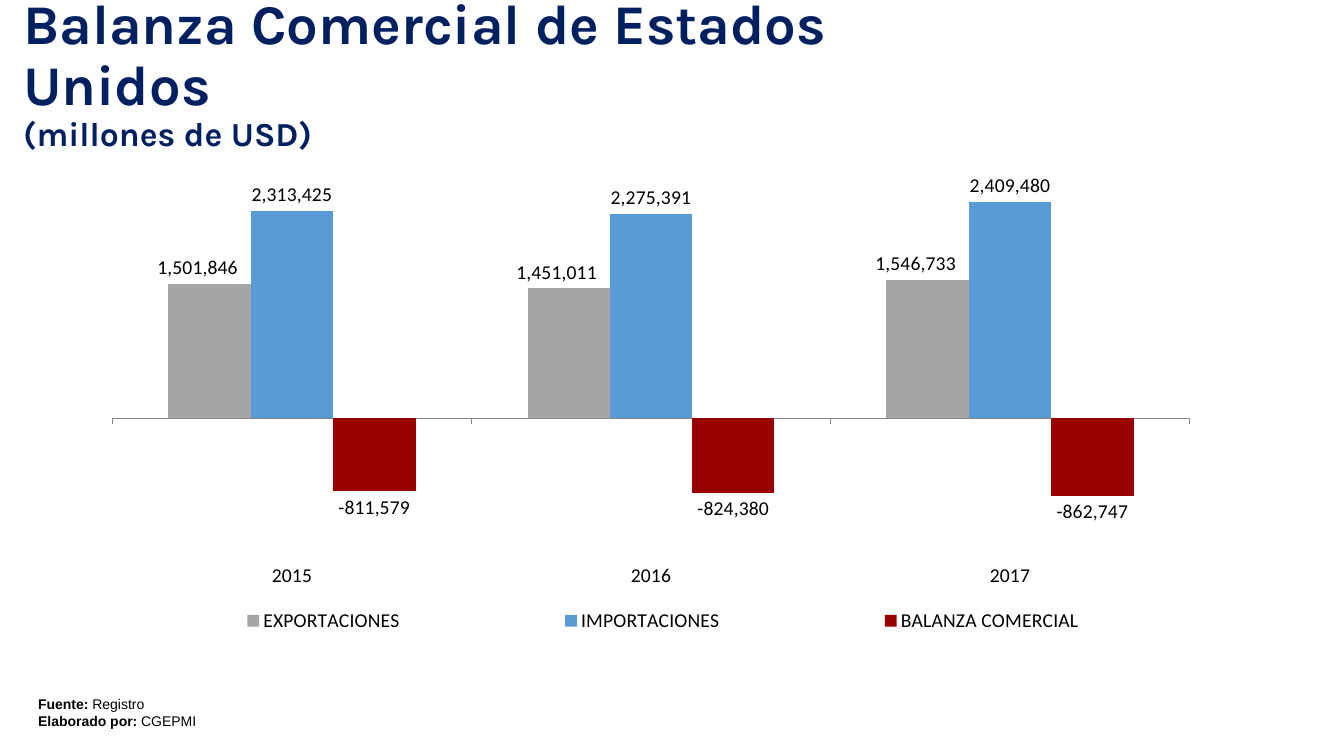
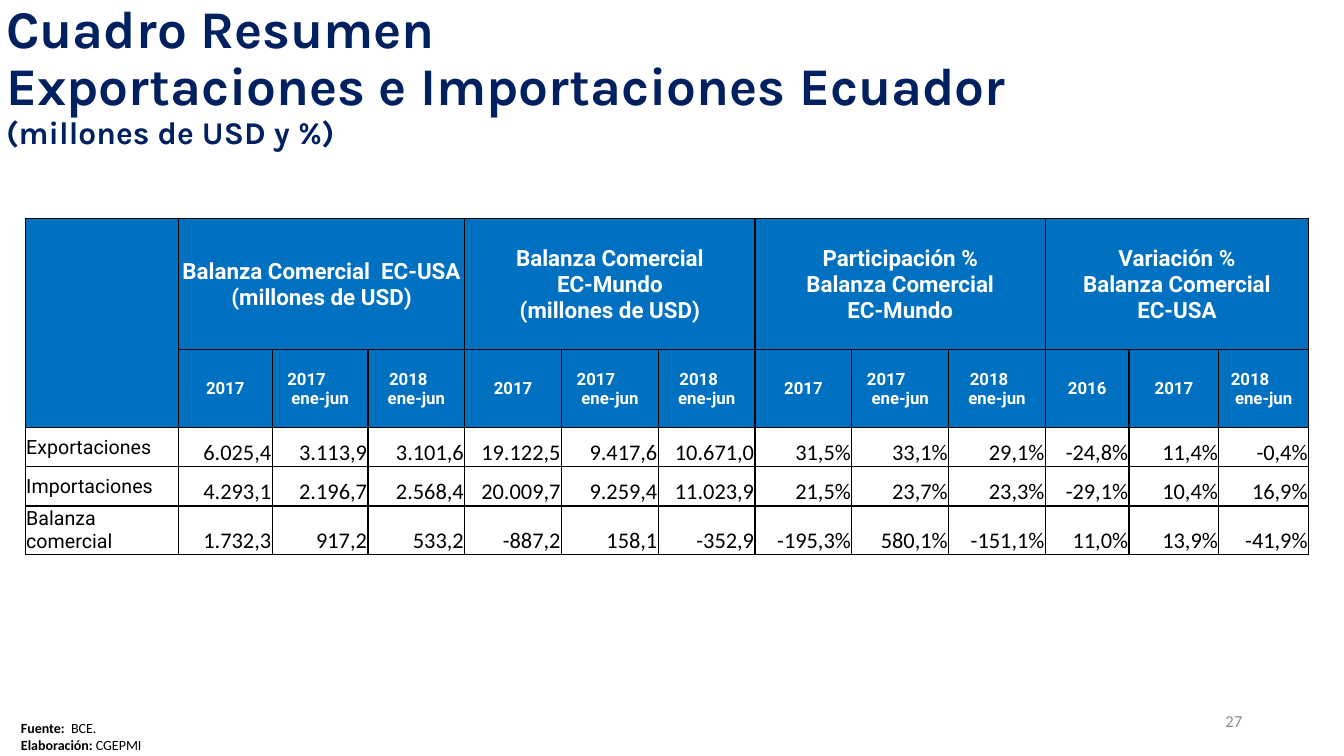
import pptx
import pptx.util
import pptx.chart.data
import pptx.dml.color
import pptx.enum.chart
import pptx.enum.text
import pptx.oxml
import pptx.oxml.ns

Inches = pptx.util.Inches
Pt = pptx.util.Pt
ALIGN = pptx.enum.text.PP_ALIGN
ANCHOR = pptx.enum.text.MSO_ANCHOR

COLORS = {
    "title": "002060", "text": "000000", "light": "FFFFFF", "number": "8C8C8C",
    "header": "0070C0", "axis": "868686",
    "exports": "A5A5A5", "imports": "5B9BD5", "balance": "990000",
}
TITLE_FONT, TABLE_FONT, BODY_FONT = "Karla", "Roboto", "Calibri"


def rgb(name):
    return pptx.dml.color.RGBColor.from_string(COLORS[name])


def write_text(frame, paragraphs, *, size, font=BODY_FONT, color="text", bold=False,
               align=ALIGN.LEFT, anchor=ANCHOR.TOP, line_spacing=None):
    """Each paragraph is a string or a list of (text, overrides) runs."""
    frame.word_wrap = True
    frame.vertical_anchor = anchor
    for index, runs in enumerate(paragraphs):
        paragraph = frame.paragraphs[0] if index == 0 else frame.add_paragraph()
        paragraph.alignment = align
        if line_spacing:
            paragraph.line_spacing = line_spacing
        if isinstance(runs, str):
            runs = [(runs, {})]
        for text, overrides in runs:
            run = paragraph.add_run()
            run.text = text
            run.font.name = font
            run.font.size = Pt(overrides.get("size", size))
            run.font.bold = overrides.get("bold", bold)
            run.font.color.rgb = rgb(color)


# Parts shared by the slides

def add_titled_slide(deck, box, headings, unit, size):
    slide = deck.slides.add_slide(deck.slide_layouts[5])
    title = slide.shapes.title
    title.left, title.top, title.width, title.height = map(Inches, box)
    title.text_frame.auto_size = pptx.enum.text.MSO_AUTO_SIZE.NONE
    write_text(title.text_frame, [*headings, [(unit, {"size": size * 0.6})]],
               size=size, font=TITLE_FONT, color="title", bold=True,
               anchor=ANCHOR.MIDDLE, line_spacing=0.9)
    return slide


def add_credits(slide, box, credits, font):
    credit_box = slide.shapes.add_textbox(*map(Inches, box))
    lines = [[(label, {"bold": True}), (value, {})] for label, value in credits]
    write_text(credit_box.text_frame, lines, size=10, font=font)


def add_page_number(slide, box, number):
    number_box = slide.shapes.add_textbox(*map(Inches, box))
    write_text(number_box.text_frame, [number], size=12, color="number",
               align=ALIGN.RIGHT, anchor=ANCHOR.MIDDLE)


# Trade balance chart

TRADE_SERIES = [
    ("EXPORTACIONES", (1501846, 1451011, 1546733), "exports"),
    ("IMPORTACIONES", (2313425, 2275391, 2409480), "imports"),
    ("BALANZA COMERCIAL", (-811579, -824380, -862747), "balance"),
]


def manual_layout(x, y, width=None, height=None, inner=False):
    """Layout in fractions of the chart; without a size it is an offset."""
    parts = [("layoutTarget", "inner")] if inner else []
    if width is not None:
        parts += [("xMode", "edge"), ("yMode", "edge")]
    parts += [("x", x), ("y", y)]
    if width is not None:
        parts += [("w", width), ("h", height)]
    body = "".join(f'<c:{tag} val="{value}"/>' for tag, value in parts)
    return pptx.oxml.parse_xml(
        f'<c:layout {pptx.oxml.ns.nsdecls("c")}><c:manualLayout>{body}'
        "</c:manualLayout></c:layout>")


def place_layout(parent, layout, after=None):
    for old in parent.findall(pptx.oxml.ns.qn("c:layout")):
        parent.remove(old)
    if after is None:
        parent.insert(0, layout)
    else:
        parent.find(pptx.oxml.ns.qn(after)).addnext(layout)


def add_trade_chart(slide, box):
    data = pptx.chart.data.CategoryChartData(number_format="#,##0")
    data.categories = ["2015", "2016", "2017"]
    for name, values, _ in TRADE_SERIES:
        data.add_series(name, values)
    chart = slide.shapes.add_chart(
        pptx.enum.chart.XL_CHART_TYPE.COLUMN_CLUSTERED, *map(Inches, box), data).chart
    chart.has_title = False
    chart.font.name, chart.font.size = BODY_FONT, Pt(14)
    chart.font.color.rgb = rgb("text")

    # Axes
    values_axis, years_axis = chart.value_axis, chart.category_axis
    values_axis.visible = False
    values_axis.has_major_gridlines = False
    values_axis.minimum_scale, values_axis.maximum_scale = -1500000, 3000000
    years_axis.tick_label_position = pptx.enum.chart.XL_TICK_LABEL_POSITION.LOW
    years_axis.major_tick_mark = pptx.enum.chart.XL_TICK_MARK.OUTSIDE
    years_axis.format.line.color.rgb = rgb("axis")
    years_axis.format.line.width = Pt(0.75)

    # Columns and their values
    plot = chart.plots[0]
    plot.gap_width, plot.overlap, plot.vary_by_categories = 136, 0, False
    outside = pptx.enum.chart.XL_LABEL_POSITION.OUTSIDE_END
    for series, (_, _, color) in zip(plot.series, TRADE_SERIES):
        series.invert_if_negative = False
        series.format.fill.solid()
        series.format.fill.fore_color.rgb = rgb(color)
        labels = series.data_labels
        labels.show_value = True
        labels.position = outside
        labels.number_format, labels.number_format_is_linked = "#,##0", False

    # Export values stand slightly left, clear of the taller column
    exports = plot.series[0]
    for index in range(len(data.categories)):
        exports.points[index].data_label.position = outside
    for label in exports.data_labels._element.findall(pptx.oxml.ns.qn("c:dLbl")):
        place_layout(label, manual_layout(-0.01, 0), after="c:idx")

    # Legend and plot area
    chart.has_legend = True
    chart.legend.position = pptx.enum.chart.XL_LEGEND_POSITION.BOTTOM
    chart.legend.include_in_layout = False
    place_layout(chart.legend._element, manual_layout(0.01, 0.9, 0.96, 0.09),
                 after="c:legendPos")
    plot_area = chart._chartSpace.chart.plotArea
    place_layout(plot_area, manual_layout(0.03, 0, 0.9, 0.81, inner=True))


# Summary table

COLUMN_WIDTHS = [1.52, 0.93, 0.95] + [0.96] * 7 + [0.83, 0.89, 0.89]
ROW_HEIGHTS = [1.3, 0.77, 0.39, 0.39, 0.48]
GROUPS = [
    ["Balanza Comercial  EC-USA (millones de USD)"],
    ["Balanza Comercial", "EC-Mundo", "(millones de USD)"],
    ["Participación %", "Balanza Comercial", "EC-Mundo"],
    ["Variación %", "Balanza Comercial", "EC-USA"],
]
# Year, and the indent of the year above "ene-jun" for half-year columns
PERIODS = [("2017", None), ("2017", 0.14), ("2018", 0.2)] * 3 + [
    ("2016", None), ("2017", None), ("2018", 0.11)]
FIGURES = [
    ("Exportaciones", "6.025,4 3.113,9 3.101,6 19.122,5 9.417,6 10.671,0 "
                      "31,5% 33,1% 29,1% -24,8% 11,4% -0,4%"),
    ("Importaciones", "4.293,1 2.196,7 2.568,4 20.009,7 9.259,4 11.023,9 "
                      "21,5% 23,7% 23,3% -29,1% 10,4% 16,9%"),
    ("Balanza comercial", "1.732,3 917,2 533,2 -887,2 158,1 -352,9 "
                          "-195,3% 580,1% -151,1% 11,0% 13,9% -41,9%"),
]


def style_cell(cell, fill=None):
    cell.margin_left = cell.margin_top = cell.margin_right = Inches(0.01)
    cell.margin_bottom = 0
    properties = cell._tc.get_or_add_tcPr()
    for side in ("lnL", "lnR", "lnT", "lnB"):
        properties.append(pptx.oxml.parse_xml(
            f'<a:{side} {pptx.oxml.ns.nsdecls("a")} w="{Pt(1)}"><a:solidFill>'
            f'<a:srgbClr val="{COLORS["text"]}"/></a:solidFill></a:{side}>'))
    if fill:
        cell.fill.solid()
        cell.fill.fore_color.rgb = rgb(fill)
    else:
        cell.fill.background()


def write_cell(cell, lines, anchor=ANCHOR.MIDDLE, **text_format):
    write_text(cell.text_frame, lines, **text_format)
    cell.vertical_anchor = anchor


def add_summary_table(slide, left, top):
    table = slide.shapes.add_table(
        len(ROW_HEIGHTS), len(COLUMN_WIDTHS), Inches(left), Inches(top),
        Inches(sum(COLUMN_WIDTHS)), Inches(sum(ROW_HEIGHTS))).table
    table.first_row = table.horz_banding = False
    for column, width in zip(table.columns, COLUMN_WIDTHS):
        column.width = Inches(width)
    for index, (row, height) in enumerate(zip(table.rows, ROW_HEIGHTS)):
        row.height = Inches(height)
        for cell in row.cells:
            style_cell(cell, fill="header" if index < 2 else None)

    # Two header rows
    header = dict(font=TABLE_FONT, color="light", bold=True, align=ALIGN.CENTER)
    table.cell(0, 0).merge(table.cell(1, 0))
    for index, lines in enumerate(GROUPS):
        first = 1 + 3 * index
        table.cell(0, first).merge(table.cell(0, first + 2))
        write_cell(table.cell(0, first), lines, size=16, **header)
    for column, (year, indent) in enumerate(PERIODS, 1):
        cell = table.cell(1, column)
        write_cell(cell, [year] if indent is None else [year, "ene-jun"],
                   size=12, **header)
        if indent is not None:
            year_line = cell.text_frame.paragraphs[0]
            year_line.alignment = ALIGN.LEFT
            year_line._p.get_or_add_pPr().set("marL", str(Inches(indent)))

    # Figures
    for row, (label, figures) in enumerate(FIGURES, 2):
        write_cell(table.cell(row, 0), [label], size=14, font=TABLE_FONT)
        for column, figure in enumerate(figures.split(), 1):
            write_cell(table.cell(row, column), [figure], size=16,
                       align=ALIGN.RIGHT, anchor=ANCHOR.BOTTOM)


# Slides

def build_balance_slide(deck):
    slide = add_titled_slide(deck, (0.13, 0.02, 9.68, 1.45),
                             ["Balanza Comercial de Estados Unidos"],
                             "(millones de USD)", size=40)
    add_credits(slide, (0.28, 6.85, 5.59, 0.44),
                [("Fuente: ", "Registro"), ("Elaborado por: ", "CGEPMI")], "Arial")
    add_trade_chart(slide, (0.76, 1.48, 11.87, 4.95))


def build_summary_slide(deck):
    slide = add_titled_slide(deck, (-0.04, 0.2, 11.64, 1.12),
                             ["Cuadro Resumen", "Exportaciones e Importaciones Ecuador"],
                             "(millones de USD y %)", size=37.8)
    add_page_number(slide, (9.42, 6.95, 3, 0.4), "27")
    add_summary_table(slide, 0.25, 2.17)
    add_credits(slide, (0.11, 7.09, 3.62, 0.44),
                [("Fuente: ", " BCE."), ("Elaboración: ", "CGEPMI")], BODY_FONT)


def main():
    deck = pptx.Presentation()
    deck.slide_width, deck.slide_height = Inches(13.33), Inches(7.5)
    build_balance_slide(deck)
    build_summary_slide(deck)
    deck.save("out.pptx")


if __name__ == "__main__":
    main()
